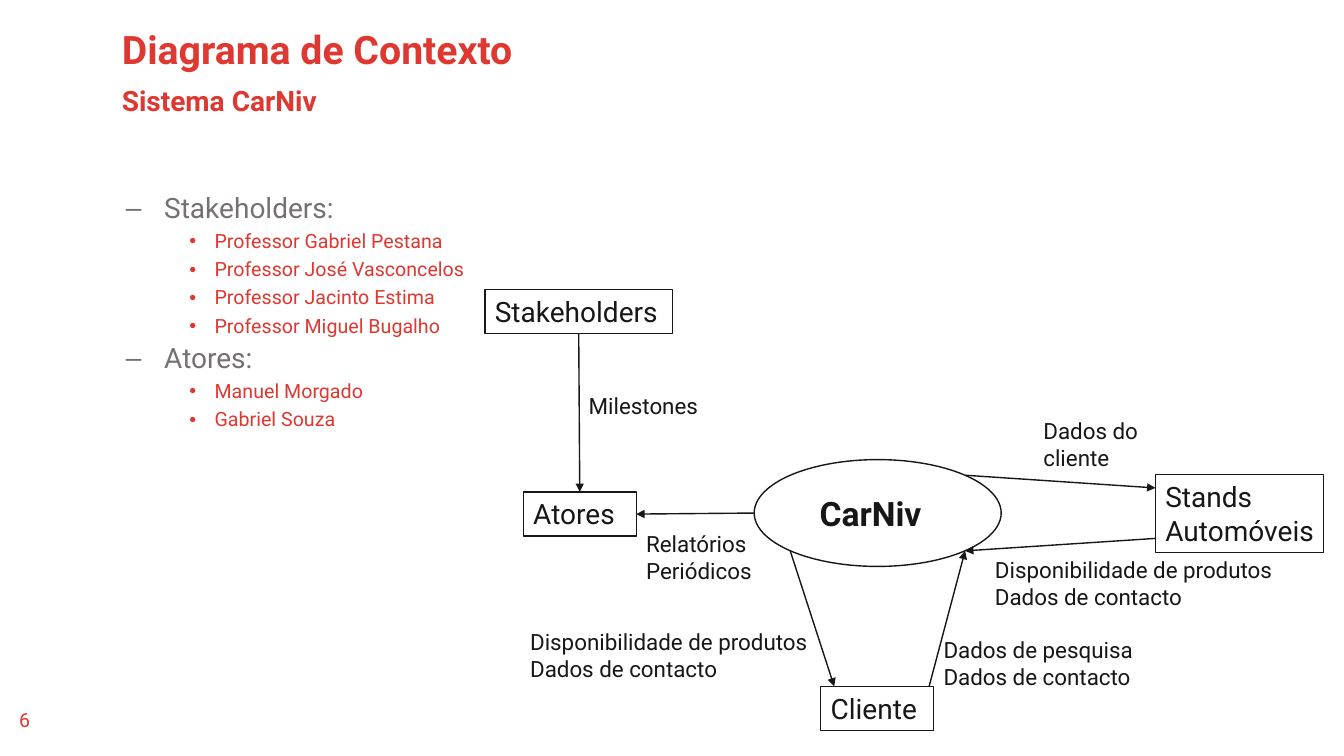
import pptx
import pptx.util
import pptx.dml.color
import pptx.enum.shapes
import pptx.enum.text
import pptx.oxml
import pptx.oxml.ns

RED, GREY, INK = "DE3831", "767171", "181717"
FONT = "Roboto"
COLS, ROWS = 1333, 750  # grid of hundredths of an inch
CELL = pptx.util.Inches(0.01)
SYSTEM = "CarNiv"

# text, (left, top, width, height) in grid cells, size, bold, colour
HEADINGS = [
    ("Diagrama de Contexto", (111, 25, 1041, 45), 28, True, RED),
    ("Sistema " + SYSTEM, (111, 82, 1041, 42), 20, True, RED),
]
PAGE_NUMBER = ("6", (1, 697, 47, 40), 14, False, RED)

OUTLINE_BOX = (78, 188, 1199, 501)
OUTLINE = [
    ("Stakeholders:", ["Professor Gabriel Pestana", "Professor José Vasconcelos",
                       "Professor Jacinto Estima", "Professor Miguel Bugalho"]),
    ("Atores:", ["Manuel Morgado", "Gabriel Souza"]),
]
# bullet, left margin, hanging indent (grid cells), size, colour
LEVELS = [("–", 75, 38, 20, GREY), ("•", 125, 25, 14, RED)]

SYSTEM_BOX = (748, 456, 245, 106)
ENTITIES = {
    "Cliente": (814, 681, 112, 44),
    "Stands Automóveis": (1146, 471, 167, 77),
    "Atores": (519, 488, 112, 44),
    "Stakeholders": (481, 287, 186, 44),
}
NODES = {SYSTEM: SYSTEM_BOX, **ENTITIES}

NEAR, FAR = 0.146, 0.854  # diagonal points of the ellipse
# node and share of its width and height, at each end
FLOWS = [
    (("Stakeholders", 0.5, 1), ("Atores", 0.5, 0)),
    ((SYSTEM, 0, 0.5), ("Atores", 1, 0.5)),
    ((SYSTEM, NEAR, FAR), ("Cliente", 0.12, 0)),
    (("Cliente", 0.96, 0), (SYSTEM, FAR, FAR)),
    ((SYSTEM, FAR, NEAR), ("Stands Automóveis", 0, 0.17)),
    (("Stands Automóveis", 0, 0.82), (SYSTEM, FAR, FAR)),
]
FLOW_LABELS = [
    ("Milestones", (574, 384, 139, 37)),
    ("Relatórios Periódicos", (631, 521, 139, 64)),
    ("Dados de pesquisa\nDados de contacto", (926, 626, 209, 64)),
    ("Disponibilidade de produtos\nDados de contacto", (516, 618, 307, 64)),
    ("Dados do cliente", (1025, 409, 139, 64)),
    ("Disponibilidade de produtos\nDados de contacto", (977, 547, 307, 64)),
]


def rgb(color):
    return pptx.dml.color.RGBColor.from_string(color)


def cells(box):
    return [round(n * CELL) for n in box]


def style(p, size, bold, color):
    for r in p.runs:
        r.font.name, r.font.size = FONT, pptx.util.Pt(size)
        r.font.bold, r.font.color.rgb = bold, rgb(color)


def write(sp, text, size, bold=False, color=INK):
    tf = sp.text_frame
    tf.word_wrap = True
    tf.vertical_anchor = pptx.enum.text.MSO_ANCHOR.TOP
    tf.text = text
    for p in tf.paragraphs:
        p.alignment = pptx.enum.text.PP_ALIGN.LEFT
        style(p, size, bold, color)
    return tf


def add_text(slide, text, box, size, bold=False, color=INK):
    return write(slide.shapes.add_textbox(*cells(box)), text, size, bold, color)


def add_outlined(slide, kind, box):
    sp = slide.shapes.add_shape(kind, *cells(box))
    sp.shadow.inherit = False
    sp.fill.background()
    sp.line.color.rgb = rgb(INK)
    sp.line.width = pptx.util.Pt(1)
    return sp


def add_element(parent, tag, **attributes):
    el = pptx.oxml.parse_xml(f'<a:{tag} {pptx.oxml.ns.nsdecls("a")}/>')
    for name, value in attributes.items():
        el.set(name, str(value))
    parent.append(el)


def add_outline(slide):
    items = []
    for heading, names in OUTLINE:
        items += [(heading, 0)] + [(name, 1) for name in names]
    tf = add_text(slide, "\n".join(text for text, _ in items), OUTLINE_BOX, 20)
    for i, (p, (_, level)) in enumerate(zip(tf.paragraphs, items)):
        bullet, margin, hanging, size, color = LEVELS[level]
        p.level = level + 1
        p.line_spacing = 0.9
        p.space_before = pptx.util.Pt(5 if i else 0)
        pPr = p._p.get_or_add_pPr()
        pPr.set("marL", str(margin * CELL))
        pPr.set("indent", str(-hanging * CELL))
        add_element(pPr, "buFont", typeface="Arial")
        add_element(pPr, "buChar", char=bullet)
        style(p, size, False, color)


def anchor(name, across, down):
    left, top, width, height = NODES[name]
    return cells((left + across * width, top + down * height))


def add_flow(slide, start, end):
    line = slide.shapes.add_connector(pptx.enum.shapes.MSO_CONNECTOR.STRAIGHT,
                                      *anchor(*start), *anchor(*end))
    line.line.color.rgb = rgb(INK)
    line.line.width = pptx.util.Pt(1)
    add_element(line.line._get_or_add_ln(), "tailEnd", type="triangle")
    add_element(line._element.spPr, "effectLst")


def main():
    prs = pptx.Presentation()
    prs.slide_width, prs.slide_height = cells((COLS, ROWS))
    slide = prs.slides.add_slide(prs.slide_layouts[6])
    shape = pptx.enum.shapes.MSO_SHAPE

    for heading in HEADINGS:
        add_text(slide, *heading).paragraphs[0].line_spacing = 0.9
    add_outline(slide)
    number = add_text(slide, *PAGE_NUMBER)
    number.paragraphs[0].alignment = pptx.enum.text.PP_ALIGN.CENTER

    add_outlined(slide, shape.OVAL, SYSTEM_BOX)
    add_text(slide, SYSTEM, (803, 484, 135, 50), 24, True)
    for name, box in ENTITIES.items():
        write(add_outlined(slide, shape.RECTANGLE, box), name, 20)
    for start, end in FLOWS:
        add_flow(slide, start, end)
    for text, box in FLOW_LABELS:
        add_text(slide, text, box, 16)

    prs.save("out.pptx")


if __name__ == "__main__":
    main()
